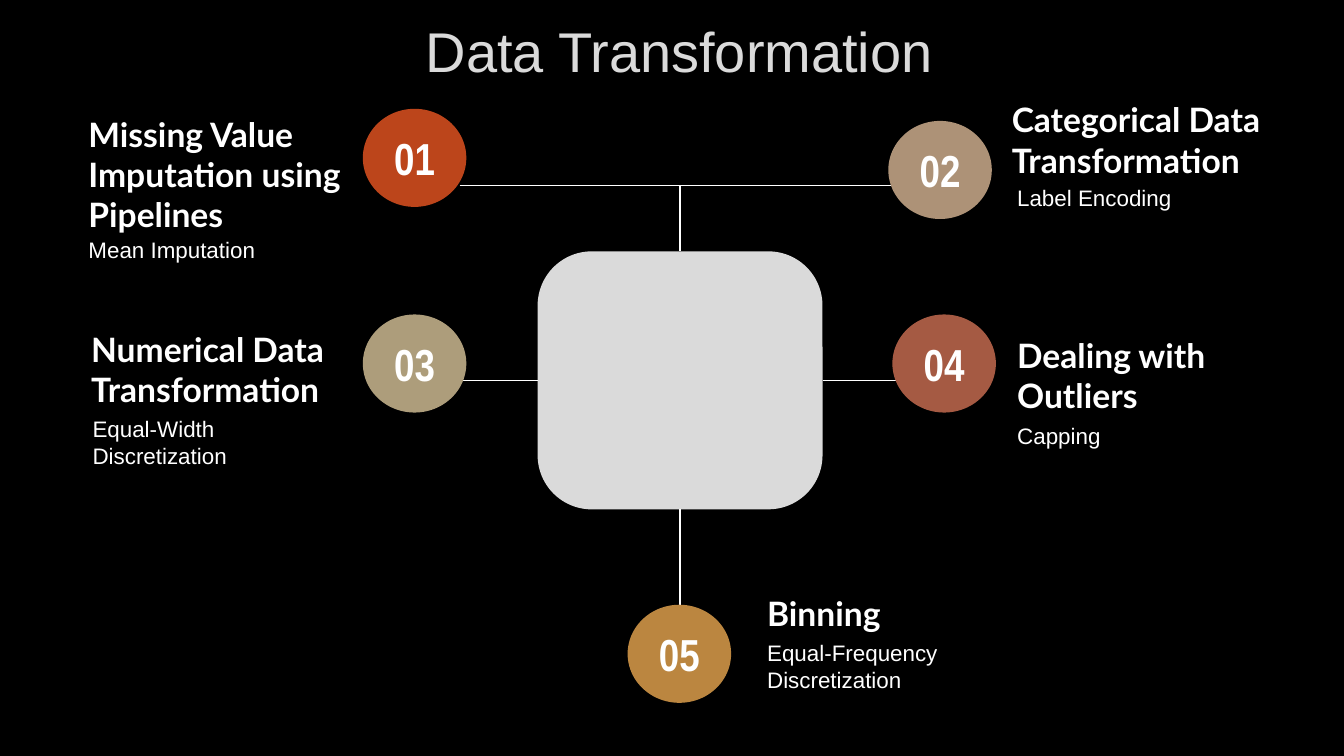
from dataclasses import dataclass

from lxml import etree
from pptx import Presentation
from pptx.dml.color import RGBColor
from pptx.enum.shapes import MSO_CONNECTOR, MSO_SHAPE
from pptx.enum.text import MSO_ANCHOR, MSO_AUTO_SIZE, PP_ALIGN
from pptx.oxml.ns import qn
from pptx.util import Inches, Pt

ELBOW = MSO_CONNECTOR.ELBOW
OVAL, ROUNDED = MSO_SHAPE.OVAL, MSO_SHAPE.ROUNDED_RECTANGLE
TOP, MIDDLE = MSO_ANCHOR.TOP, MSO_ANCHOR.MIDDLE
LEFT, CENTER = PP_ALIGN.LEFT, PP_ALIGN.CENTER
NO_AUTOFIT = MSO_AUTO_SIZE.NONE
TITLE_ONLY = 5


@dataclass(frozen=True)
class Theme:
    background: str = "000000"
    panel: str = "DADADA"
    text: str = "FFFFFF"
    title_size: int = 30
    number_size: int = 24
    heading_size: int = 18
    detail_size: int = 12
    body_font: str = "Arial"
    number_font: str = "Arial Narrow"
    heading_font: str = "Lato"


THEME = Theme()


def write_text(shape, text, *, size, font, color=THEME.text, bold=False,
               align=LEFT, anchor=MIDDLE, inset=0.1):
    """Fill a shape with one formatted paragraph; inset is top and bottom."""
    frame = shape.text_frame
    frame.word_wrap = True
    frame.auto_size = NO_AUTOFIT
    frame.vertical_anchor = anchor
    frame.margin_left = frame.margin_right = Inches(0.1)
    frame.margin_top = frame.margin_bottom = Inches(inset)
    paragraph = frame.paragraphs[0]
    paragraph.alignment = align
    run = paragraph.add_run()
    run.text = text
    run.font.size = Pt(size)
    run.font.name = font
    run.font.bold = bold
    run.font.color.rgb = RGBColor.from_string(color)


def add_filled(kind, box, color):
    shape = slide.shapes.add_shape(kind, *map(Inches, box))
    shape.shadow.inherit = False
    shape.fill.solid()
    shape.fill.fore_color.rgb = RGBColor.from_string(color)
    shape.line.fill.background()
    return shape


prs = Presentation()
prs.slide_width = Inches(10)
prs.slide_height = Inches(10 * 9 / 16)
slide = prs.slides.add_slide(prs.slide_layouts[TITLE_ONLY])
slide.background.fill.solid()
slide.background.fill.fore_color.rgb = RGBColor.from_string(THEME.background)

title = slide.shapes.title
title.left, title.top, title.width, title.height = map(
    Inches, (0.81, -0.03, 8.49, 0.8))
write_text(title, "Data Transformation", size=THEME.title_size,
           font=THEME.body_font, color=THEME.panel, align=CENTER)

hub = add_filled(ROUNDED, (4, 1.87, 2.12, 1.92), THEME.panel)
hub.adjustments[0] = 0.21

# Links between the hub and the steps: start, end, preset
links = [
    ((3.42, 1.38), (5.06, 1.87), "bentConnector2"),
    ((6.74, 1.38), (5.06, 1.87), "bentConnector2"),
    ((4, 2.83), (3.42, 2.83), "bentConnector3"),
    ((6.12, 2.83), (6.74, 2.83), "bentConnector3"),
    ((5.06, 3.79), (5.06, 4.5), "bentConnector3"),
]
for start, end, preset in links:
    link = slide.shapes.add_connector(ELBOW, *map(Inches, start + end))
    link.line.color.rgb = RGBColor.from_string(THEME.text)
    link.line.width = Pt(0.75)
    properties = link._element.spPr
    properties.find(qn("a:prstGeom")).set("prst", preset)
    etree.SubElement(properties, qn("a:effectLst"))

# Steps: circle position, circle colour, heading and its box, detail and its box
steps = [
    ((2.7, 0.81), "BC451B",
     "Missing Value Imputation using Pipelines", (0.56, 0.72, 2.23, 1.15),
     "Mean Imputation", (0.56, 1.71, 1.99, 0.3)),
    ((6.61, 0.9), "AD9277",
     "Categorical Data Transformation", (7.43, 0.66, 2.17, 0.76),
     "Label Encoding", (7.47, 1.32, 2.07, 0.3)),
    ((2.7, 2.34), "AD9D7B",
     "Numerical Data Transformation", (0.58, 2.3, 2.23, 0.89),
     "Equal-Width Discretization", (0.59, 3.04, 1.92, 0.5)),
    ((6.64, 2.34), "A55A43",
     "Dealing with Outliers", (7.47, 2.61, 2.17, 0.36),
     "Capping", (7.47, 3.09, 1.99, 0.3)),
    ((4.67, 4.5), "BB8640",
     "Binning", (5.61, 4.38, 2.17, 0.36),
     "Equal-Frequency Discretization", (5.61, 4.71, 2.07, 0.5)),
]
for number, step in enumerate(steps, start=1):
    position, color, heading, heading_box, detail, detail_box = step
    circle = add_filled(OVAL, position + (0.77, 0.73), color)
    write_text(circle, f"{number:02}", size=THEME.number_size,
               font=THEME.number_font, bold=True, align=CENTER)
    write_text(slide.shapes.add_textbox(*map(Inches, heading_box)), heading,
               size=THEME.heading_size, font=THEME.heading_font, bold=True)
    write_text(slide.shapes.add_textbox(*map(Inches, detail_box)), detail,
               size=THEME.detail_size, font=THEME.body_font,
               anchor=TOP, inset=0.05)

prs.save("out.pptx")
